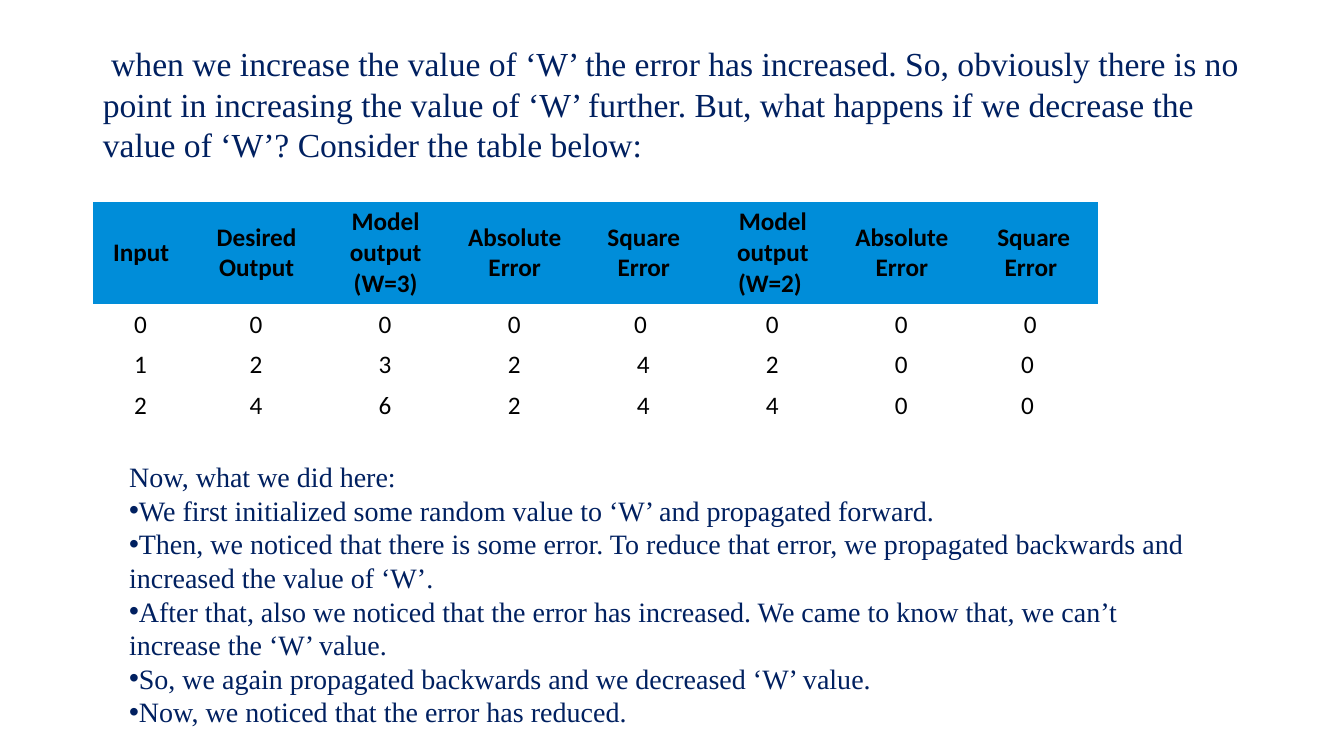
from pptx import Presentation
from pptx.dml.color import RGBColor
from pptx.enum.text import MSO_ANCHOR as Anchor, MSO_AUTO_SIZE as AutoSize, PP_ALIGN as Align
from pptx.oxml.ns import qn
from pptx.util import Pt
from lxml.etree import SubElement

PX = 9144  # 100 px to the inch
NAVY = RGBColor(0x00, 0x20, 0x60)
BLUE = RGBColor(0x00, 0x8D, 0xD9)
BLACK = RGBColor(0x00, 0x00, 0x00)
SERIF, SANS = "Times New Roman", "Calibri"
PLAIN_TABLE_STYLE = "{2D5ABB26-0587-4C30-8999-92F81FD0307C}"

INTRO = (" when we increase the value of ‘W’ the error has increased. So, obviously there is "
         "no point in increasing the value of ‘W’ further. But, what happens if we decrease "
         "the value of ‘W’? Consider the table below:")
ERRORS = [
    ["Input", "Desired Output", "Model output (W=3)", "Absolute Error", "Square Error",
     "Model output (W=2) ", "Absolute Error", " Square Error"],
    ["0", "0", "0", "0", "0 ", "0", "0", "0"],
    ["1", "2", "3", "2", "4", "2", "0", "0 "],
    ["2", "4", "6", "2", "4", "4", "0", "0 "],
]
STEPS_HEADING = "Now, what we did here:"
STEPS = [
    ("We first initialized some random value to ‘W’ and propagated forward.", Align.LEFT),
    ("Then, we noticed that there is some error. To reduce that error, we propagated "
     "backwards and increased the value of ‘W’.", Align.LEFT),
    ("After that, also we noticed that the error has increased. We came to know that, "
     "we can’t increase the ‘W’ value. ", Align.LEFT),
    ("So, we again propagated backwards and we decreased ‘W’ value.", Align.JUSTIFY),
    ("Now, we noticed that the error has reduced.", Align.JUSTIFY),
]


def write(paragraph, text, font, size, color, align, bold=False):
    paragraph.alignment = align
    run = paragraph.add_run()
    run.text = text
    run.font.name, run.font.size, run.font.bold = font, Pt(size), bold
    run.font.color.rgb = color


def place(holder, left, top, width, height):
    """Move a placeholder and let its text start at the top."""
    holder.left, holder.top = left * PX, top * PX
    holder.width, holder.height = width * PX, height * PX
    frame = holder.text_frame
    frame.word_wrap = True
    frame.auto_size = AutoSize.NONE
    frame.vertical_anchor = Anchor.TOP
    return frame


def write_step(paragraph, text, align, bullet=None):
    write(paragraph, text, SERIF, 20, NAVY, align)
    paragraph.space_before = Pt(0)
    props = paragraph._p.get_or_add_pPr()
    props.set("marL", "0")
    props.set("indent", "0")
    if bullet:
        SubElement(props, qn("a:buChar")).set("char", bullet)
    else:
        SubElement(props, qn("a:buNone"))


def add_error_table(slide, left, top, widths, heights):
    frame = slide.shapes.add_table(len(heights), len(widths), left * PX, top * PX,
                                   sum(widths) * PX, sum(heights) * PX)
    table = frame.table
    table.first_row = table.horz_banding = False
    table._tbl.tblPr.find(qn("a:tableStyleId")).text = PLAIN_TABLE_STYLE
    for column, width in zip(table.columns, widths):
        column.width = width * PX
    for r, (values, height) in enumerate(zip(ERRORS, heights)):
        table.rows[r].height = height * PX
        for c, value in enumerate(values):
            fill_cell(table.cell(r, c), value, header=r == 0)


def fill_cell(cell, text, header):
    cell.vertical_anchor = Anchor.MIDDLE
    cell.margin_left = (5 if header else 4) * PX
    cell.margin_right = 10 * PX
    cell.margin_top = cell.margin_bottom = 5 * PX
    if header:
        cell.fill.solid()
        cell.fill.fore_color.rgb = BLUE
    else:
        cell.fill.background()
    write(cell.text_frame.paragraphs[0], text, SANS, 18, BLACK, Align.CENTER, bold=header)


def main():
    deck = Presentation()
    deck.slide_width, deck.slide_height = 1333 * PX, 750 * PX
    slide = deck.slides.add_slide(deck.slide_layouts[1])

    # Introduction
    intro = place(slide.shapes.title, 92, 38, 1150, 131)
    write(intro.paragraphs[0], INTRO, SERIF, 24, NAVY, Align.LEFT)

    # Error comparison
    add_error_table(slide, 92, 200, [101] + [128] * 7, [86] + [35] * 3)

    # Steps taken
    steps = place(slide.placeholders[1], 118, 451, 1074, 279)
    write_step(steps.paragraphs[0], STEPS_HEADING, Align.LEFT)
    for text, align in STEPS:
        write_step(steps.add_paragraph(), text, align, bullet="•")

    deck.save("out.pptx")


if __name__ == "__main__":
    main()
